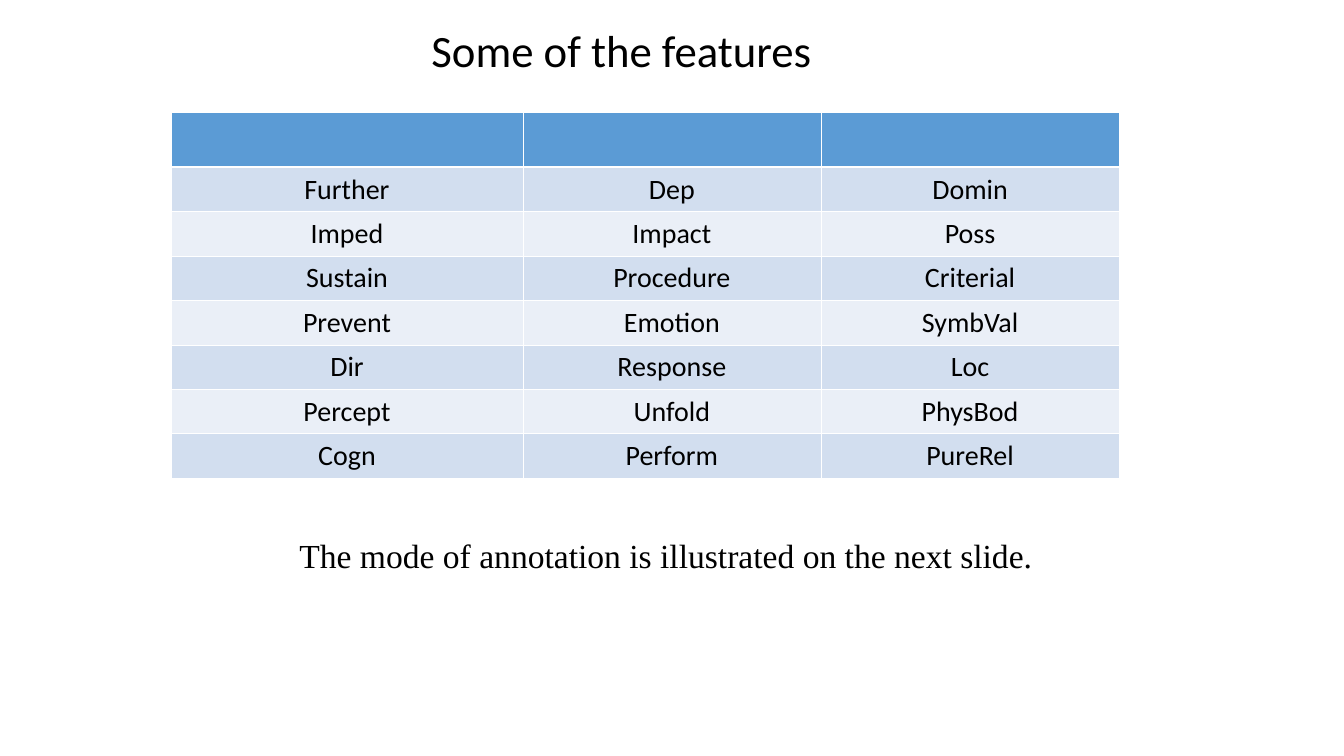
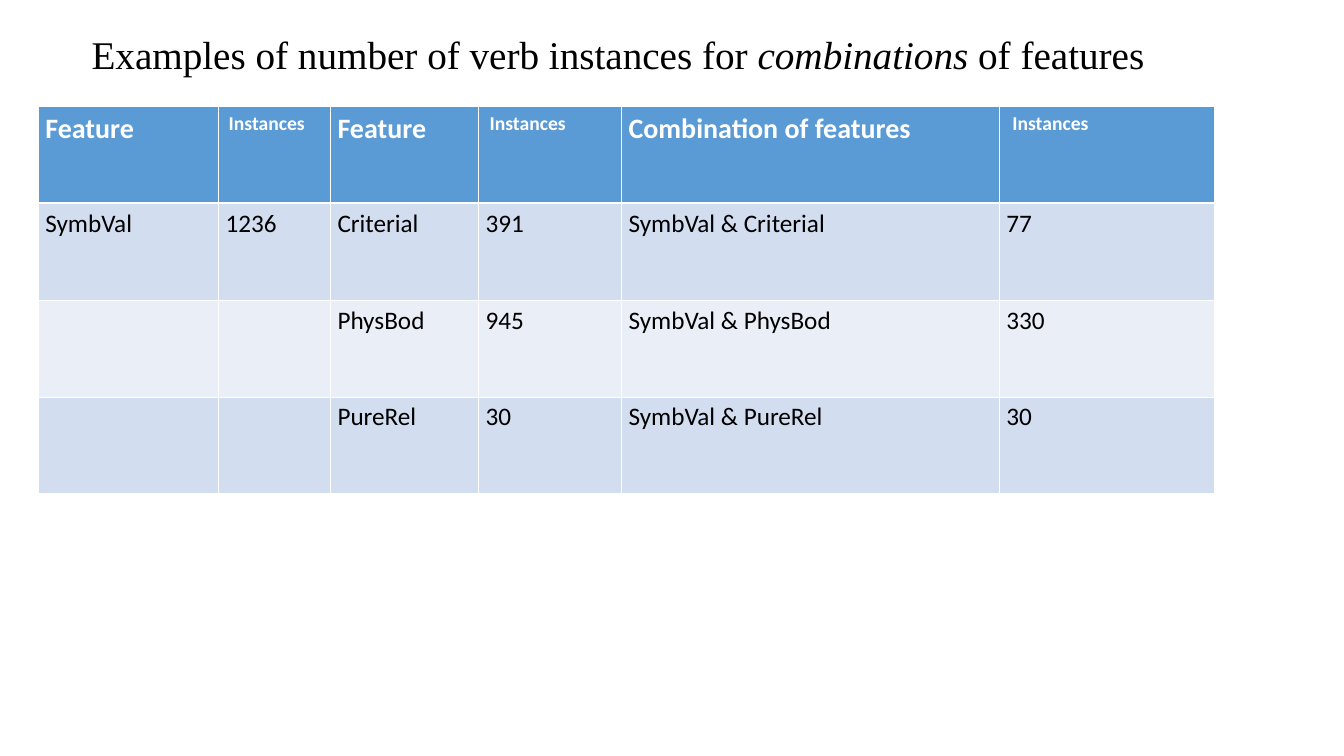
"""Build two slides: a table of verb features and a table of feature counts."""
from lxml import etree
from pptx import Presentation
from pptx.dml.color import RGBColor
from pptx.enum.text import MSO_ANCHOR, MSO_AUTO_SIZE, PP_ALIGN
from pptx.oxml.ns import qn
from pptx.util import Inches, Pt

BLACK, WHITE, HEADER = "000000", "FFFFFF", "5B9BD5"
BANDS = ["EAEFF7", "D2DEEF"]
SANS, SERIF = "Calibri", "Times New Roman"

prs = Presentation()
prs.slide_width, prs.slide_height = Inches(13.34), Inches(7.5)
COL, ROW = prs.slide_width / 100, prs.slide_height / 100


def style(p, font, size, color=BLACK, align=PP_ALIGN.CENTER, bold=False):
    p.alignment = align
    for r in p.runs:
        r.font.name, r.font.size, r.font.bold = font, Pt(size), bold
        r.font.color.rgb = RGBColor.from_string(color)


def add_grid(s, left, top, widths, heights, rows, size, align):
    tbl = s.shapes.add_table(len(rows), len(widths), int(left * COL), int(top * ROW),
                             int(sum(widths) * COL), int(sum(heights) * ROW)).table
    tbl.first_row = tbl.horz_banding = False
    for col, width in zip(tbl.columns, widths):
        col.width = int(width * COL)
    for i, (row, height) in enumerate(zip(tbl.rows, heights)):
        row.height = int(height * ROW)
        for cell, text in zip(row.cells, rows[i]):
            cell.margin_left = cell.margin_right = Inches(0.07)
            cell.margin_top = cell.margin_bottom = Inches(0.05)
            cell.text_frame.text = text
            p = cell.text_frame.paragraphs[0]
            if i == 0:
                style(p, SANS, 20, WHITE, align, True)
            else:
                style(p, SANS, size, BLACK, align)
            for side in "LRTB":
                thick = (i, side) in [(0, "B"), (1, "T")]
                ln = etree.SubElement(cell._tc.get_or_add_tcPr(), qn(f"a:ln{side}"),
                                      w=str(Pt(1.47 if thick else 0.45)))
                fill = etree.SubElement(ln, qn("a:solidFill"))
                etree.SubElement(fill, qn("a:srgbClr"), val=WHITE)
            cell.fill.solid()
            cell.fill.fore_color.rgb = RGBColor.from_string(BANDS[i % 2] if i else HEADER)
    return tbl


titles = [
    (5.2, 82.1, SANS, 32, ["Some of the features"]),
    (1.12, 89.73, SERIF, 28,
     ["Examples of number of verb instances for ", "combinations", " of features"]),
]
for left, width, font, size, parts in titles:
    s = prs.slides.add_slide(prs.slide_layouts[5])
    sp = s.shapes.title
    sp.left, sp.top = int(left * COL), int(2.93 * ROW)
    sp.width, sp.height = int(width * COL), int(8 * ROW)
    tf = sp.text_frame
    tf.auto_size, tf.vertical_anchor = MSO_AUTO_SIZE.NONE, MSO_ANCHOR.BOTTOM
    p = tf.paragraphs[0]
    p.line_spacing = 0.9
    for i, part in enumerate(parts):
        r = p.add_run()
        r.text = part
        r.font.italic = i == 1
    style(p, font, size)

features, examples = prs.slides

rows = [
    ["", "", ""],
    ["Further", "Dep", "Domin"],
    ["Imped", "Impact", "Poss"],
    ["Sustain", "Procedure", "Criterial"],
    ["Prevent", "Emotion", "SymbVal"],
    ["Dir", "Response", "Loc"],
    ["Percept", "Unfold", "PhysBod"],
    ["Cogn", "Perform", "PureRel"],
]
add_grid(features, 12.74, 14.8, [26.16, 22.19, 22.19], [7.33] + [5.87] * 7,
         rows, 20, PP_ALIGN.CENTER)

note = features.shapes.add_textbox(int(5.1 * COL), int(70.13 * ROW),
                                   int(88.91 * COL), int(6.4 * ROW))
tf = note.text_frame
tf.word_wrap = True
tf.text = "The mode of annotation is illustrated on the next slide."
style(tf.paragraphs[0], SERIF, 24)

rows = [
    ["Feature", "Instances", "Feature", "Instances", "Combination of features", "Instances"],
    ["SymbVal", "1236", "Criterial", "391", "SymbVal & Criterial", "77"],
    ["", "", "PhysBod", "945", "SymbVal & PhysBod", "330"],
    ["", "", "PureRel", "30", "SymbVal & PureRel", "30"],
]
tbl = add_grid(examples, 2.85, 14.1, [13.42, 8.32, 11.02, 10.64, 28.11, 15.97], [12.8] * 4,
               rows, 18, PP_ALIGN.JUSTIFY)
for col, margin in [(1, 0.1), (3, 0.11), (5, 0.13)]:
    cell = tbl.cell(0, col)
    cell.margin_left = Inches(margin)
    cell.text_frame.paragraphs[0].runs[0].font.size = Pt(14)

prs.save("out.pptx")
